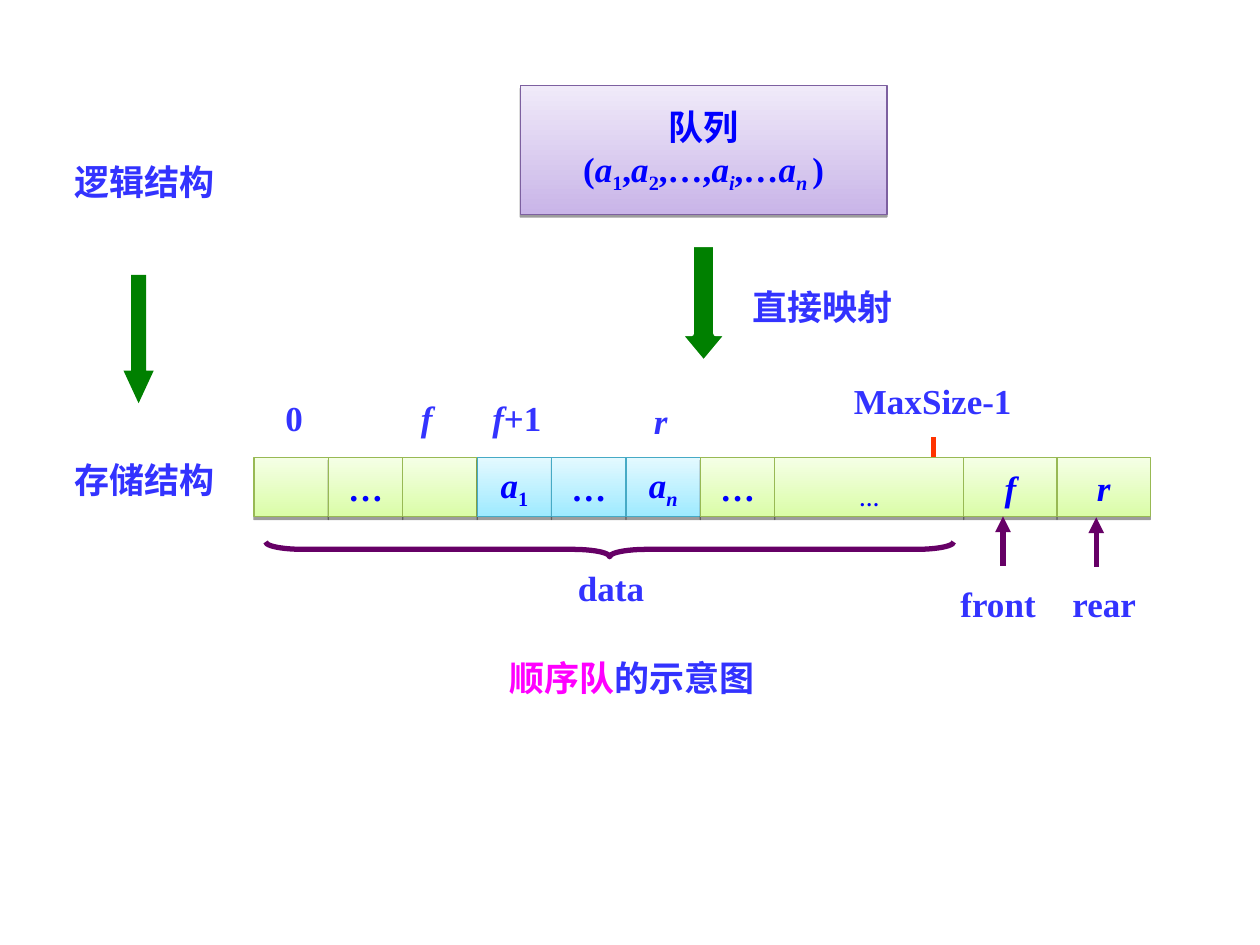
from dataclasses import dataclass
from typing import NamedTuple

from lxml.etree import SubElement as Sub
from pptx import Presentation
from pptx.dml.color import RGBColor as Rgb
from pptx.enum.shapes import MSO_CONNECTOR as Link, MSO_SHAPE as Kind
from pptx.enum.text import MSO_ANCHOR as Anchor, MSO_AUTO_SIZE as Fit, PP_ALIGN as Align
from pptx.oxml.ns import qn
from pptx.util import Cm, Pt

HUES = {
    "ink": "0000FF", "label": "3333FF", "pink": "FF00FF", "arrow": "008000",
    "mark": "660066", "tick": "FF3300", "white": "FFFFFF", "shade": "000000",
    "violet": "C9B5E8", "violet top": "F0EAF9", "violet edge": "7D60A0",
    "green": "DAFDA7", "green top": "F5FFE6", "green edge": "98B954",
    "blue": "9EEAFF", "blue top": "E4F9FF", "blue edge": "46AAC5",
}
FONT = {"name": "Times New Roman", "size": Pt(20), "bold": True}
BOX = {"word_wrap": False, "vertical_anchor": Anchor.MIDDLE}
NOTE = {"word_wrap": True, "auto_size": Fit.SHAPE_TO_FIT_TEXT}
ROW_TOP, ROW_HIGH, SLOT = 9.22, 1.2, 1.5


class Run(NamedTuple):
    text: str
    slant: bool = False
    sub: bool = False
    hue: str = ""


@dataclass
class Cell:
    width: float
    tone: str
    runs: tuple[Run, ...] = ()


@dataclass
class Label:
    left: float
    top: float
    width: float
    runs: tuple[Run, ...]


@dataclass
class Arrow:
    left: float
    top: float
    width: float
    high: float
    head: float
    edge: str = ""


@dataclass
class Stroke:
    left: float
    start: float
    end: float
    hue: str
    head: bool = False


A, F, R = Run("a", True), Run("f", True), Run("r", True)
DOTS = Run("…")
QUEUE = (
    (Run("队列"),),
    (Run("("), A, Run("1", sub=True), Run(","), A, Run("2", sub=True), Run(",…,"),
     A, Run("i", True, True), Run(",…"), A, Run("n ", True, True), Run(")")),
)
CELLS = (
    Cell(SLOT, "green"),
    Cell(SLOT, "green", (DOTS,)),
    Cell(SLOT, "green"),
    Cell(SLOT, "blue", (A, Run("1", sub=True))),
    Cell(SLOT, "blue", (DOTS,)),
    Cell(SLOT, "blue", (A, Run("n", True, True))),
    Cell(SLOT, "green", (DOTS,)),
    Cell(3.81, "green", (Run("…", sub=True),)),
    Cell(1.88, "green", (F,)),
    Cell(1.88, "green", (R,)),
)
LABELS = (
    Label(0.51, 3.12, 4.8, (Run("逻辑结构"),)),
    Label(0.51, 9.12, 4.8, (Run("存储结构"),)),
    Label(14.68, 5.64, 3.81, (Run("直接映射"),)),
    Label(5.23, 7.87, 1.4, (Run("0"),)),
    Label(7.9, 7.87, 1.4, (F,)),
    Label(9.42, 7.87, 2, (F, Run("+1"))),
    Label(12.42, 7.92, 1.8, (R,)),
    Label(16.71, 7.52, 4.19, (Run("MaxSize-1"),)),
    Label(10.92, 11.3, 2.8, (Run("data"),)),
    Label(19.02, 11.62, 2.2, (Run("front"),)),
    Label(21.16, 11.62, 2.2, (Run("rear"),)),
    Label(9.53, 13.11, 6.43, (Run("顺序队", hue="pink"), Run("的示意图"))),
)
ARROWS = (
    Arrow(13.69, 4.93, 0.99, 2.39, 0.6, "white"),
    Arrow(2.49, 5.54, 0.61, 2.59, 1.08),
)
STROKES = (
    Stroke(18.82, 8.81, 9.22, "tick"),
    Stroke(20.22, 11.4, 10.41, "mark", True),
    Stroke(22.1, 11.42, 10.43, "mark", True),
)


def paint(hue: str) -> Rgb:
    """Return the named colour."""
    return Rgb.from_string(HUES[hue])


def apply(item, style: dict) -> None:
    """Set each format value on the item."""
    for key, val in style.items():
        setattr(item, key, val)


def write(frame, paras: tuple, hue: str, style: dict) -> None:
    """Fill a text frame with centred paragraphs of runs."""
    apply(frame, style)
    for i, runs in enumerate(paras):
        para = frame.paragraphs[0] if i == 0 else frame.add_paragraph()
        para.alignment = Align.CENTER
        for run in runs:
            part = para.add_run()
            part.text = run.text
            apply(part.font, FONT | {"italic": run.slant})
            part.font.color.rgb = paint(run.hue or hue)
            if run.sub:
                part._r.get_or_add_rPr().set("baseline", "-25000")


def edge(line, hue: str, width: float) -> None:
    """Give a line its colour and width."""
    line.color.rgb = paint(hue)
    line.width = Pt(width)


def shade(shape) -> None:
    """Drop a thin hard shadow below a shape."""
    shape.shadow.inherit = False
    glow = shape._element.spPr.find(qn("a:effectLst"))
    drop = Sub(glow, qn("a:outerShdw"), blurRad="0", dist="20000", dir="5400000", rotWithShape="0")
    tint = Sub(drop, qn("a:srgbClr"), val=HUES["shade"])
    Sub(tint, qn("a:alpha"), val="38000")


def draw_box(slide, left: float, top: float, width: float, high: float, tone: str, paras: tuple) -> None:
    """Draw a shaded gradient box with text."""
    box = slide.shapes.add_shape(Kind.RECTANGLE, Cm(left), Cm(top), Cm(width), Cm(high))
    box.fill.gradient()
    box.fill.gradient_angle = 90
    for stop, spot, hue in zip(box.fill.gradient_stops, (0, 1), (tone, tone + " top")):
        stop.position = spot
        stop.color.rgb = paint(hue)
    edge(box.line, tone + " edge", 0.75)
    shade(box)
    write(box.text_frame, paras, "ink", BOX)


def draw_row(slide, left: float, cells: tuple[Cell, ...]) -> None:
    """Draw the storage cells side by side."""
    for cell in cells:
        draw_box(slide, left, ROW_TOP, cell.width, ROW_HIGH, cell.tone, (cell.runs,))
        left += cell.width


def draw_label(slide, label: Label) -> None:
    """Draw one text label."""
    box = slide.shapes.add_textbox(Cm(label.left), Cm(label.top), Cm(label.width), Cm(1.12))
    write(box.text_frame, (label.runs,), "label", NOTE)


def draw_arrow(slide, arrow: Arrow) -> None:
    """Draw one block arrow pointing down."""
    shape = slide.shapes.add_shape(
        Kind.DOWN_ARROW, Cm(arrow.left), Cm(arrow.top), Cm(arrow.width), Cm(arrow.high))
    shape.adjustments[0], shape.adjustments[1] = 0.5, arrow.head
    shape.shadow.inherit = False
    shape.fill.solid()
    shape.fill.fore_color.rgb = paint("arrow")
    if arrow.edge:
        edge(shape.line, arrow.edge, 3)
    else:
        shape.line.fill.background()


def draw_stroke(slide, stroke: Stroke) -> None:
    """Draw one upright line."""
    line = slide.shapes.add_connector(
        Link.STRAIGHT, Cm(stroke.left), Cm(stroke.start), Cm(stroke.left), Cm(stroke.end))
    edge(line.line, stroke.hue, 3)
    if stroke.head:
        Sub(line.line._get_or_add_ln(), qn("a:tailEnd"), type="triangle")
    Sub(line._element.spPr, qn("a:effectLst"))


def draw_brace(slide) -> None:
    """Draw the brace under the data cells."""
    brace = slide.shapes.add_shape(Kind.RIGHT_BRACE, Cm(12.14), Cm(4.14), Cm(0.3), Cm(13.87))
    brace.adjustments[0], brace.adjustments[1] = 2.5, 0.5
    brace.rotation = 90
    brace.shadow.inherit = False
    brace.fill.background()
    edge(brace.line, "mark", 3)


def main() -> None:
    """Build the queue slide."""
    deck = Presentation()
    apply(deck, {"slide_width": Cm(25.4), "slide_height": Cm(19.05)})
    slide = deck.slides.add_slide(deck.slide_layouts[6])
    draw_box(slide, 10.49, 1.73, 7.39, 2.59, "violet", QUEUE)
    draw_row(slide, 5.12, CELLS)
    draw_brace(slide)
    for draw, items in ((draw_arrow, ARROWS), (draw_label, LABELS), (draw_stroke, STROKES)):
        for item in items:
            draw(slide, item)
    deck.save("out.pptx")


if __name__ == "__main__":
    main()
